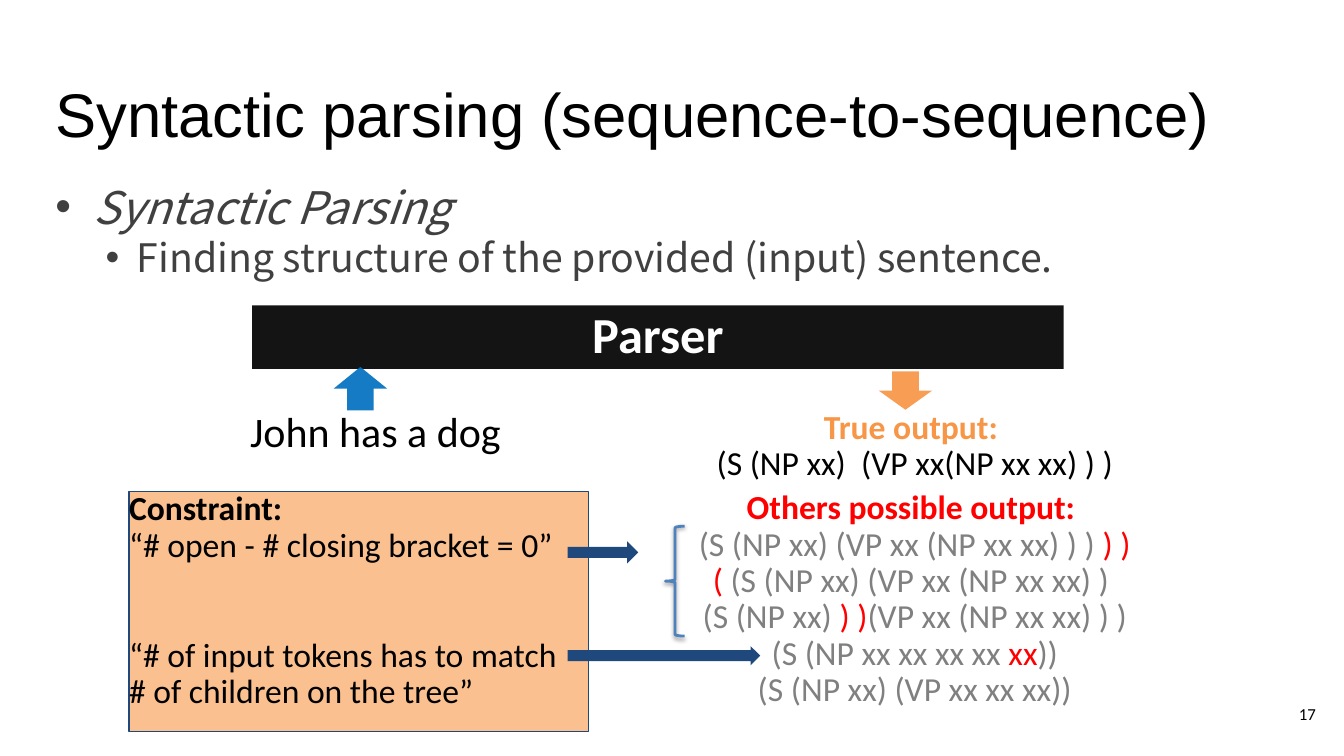
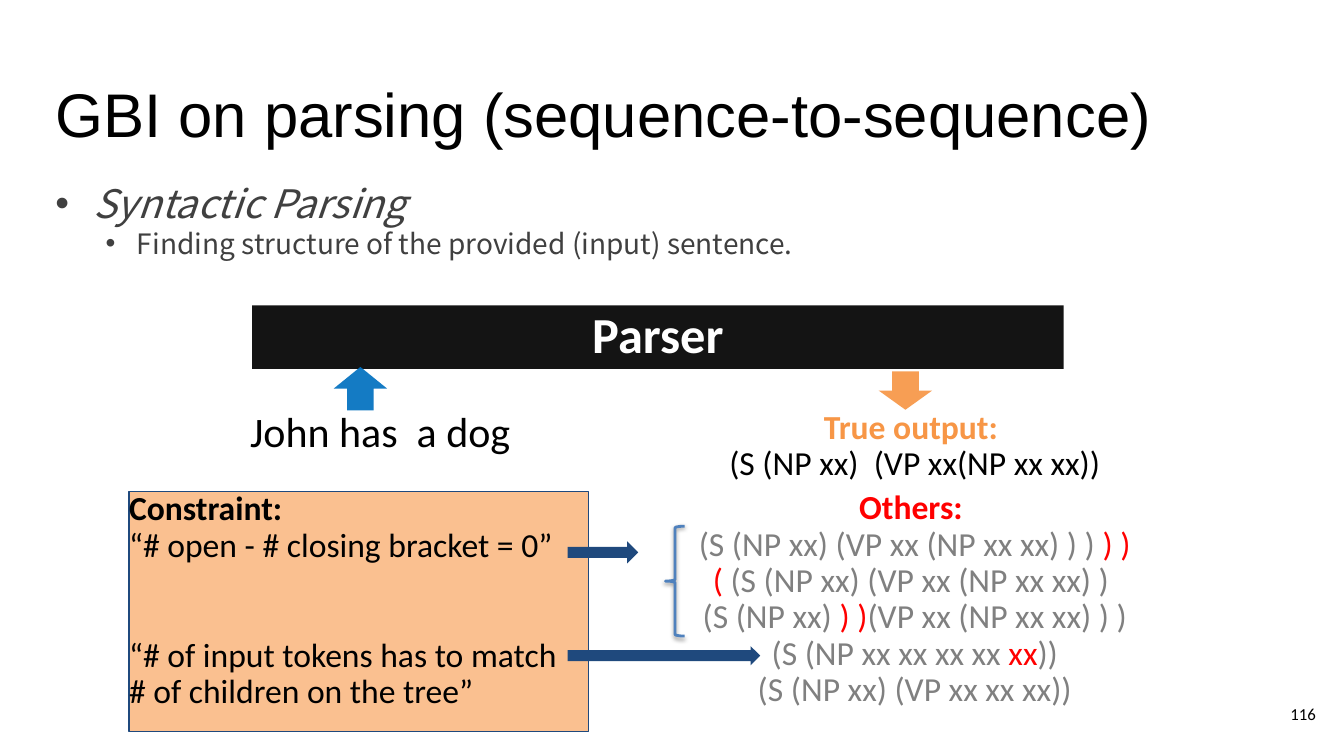
from pptx import Presentation
from pptx.dml.color import RGBColor
from pptx.enum.shapes import MSO_SHAPE
from pptx.enum.text import MSO_ANCHOR, MSO_AUTO_SIZE, PP_ALIGN
from pptx.oxml import parse_xml
from pptx.oxml.ns import nsdecls, qn
from pptx.util import Inches, Pt


class Theme:
    black, white, red = "000000", "FFFFFF", "FF0000"
    dark, gray = "404040", "808080"
    blue, navy, steel = "0070C0", "1F497D", "4F81BD"
    orange, peach = "F79646", "FAC090"
    head, body, label = "Arial", "Noto Sans CJK KR", "Calibri"
    title, bar, input, note, page = 44, 36, 30, 24, 12
    clear = 92  # opacity of the parser bar and its arrows, in percent


def place(slide, box, kind=None, fill=None, line=None, width=0.75,
          alpha=None, inset=(0, 0), anchor=MSO_ANCHOR.TOP):
    """Add a preset shape, or a text box when no kind is given."""
    box = [Inches(n) for n in box]
    if kind is None:
        shape = slide.shapes.add_textbox(*box)
    else:
        shape = slide.shapes.add_shape(kind, *box)
        shape.shadow.inherit = False
        if fill:
            shape.fill.solid()
            shape.fill.fore_color.rgb = RGBColor.from_string(fill)
        else:
            shape.fill.background()
        if alpha:
            color = shape.element.spPr.find(".//" + qn("a:srgbClr"))
            color.append(parse_xml(f'<a:alpha {nsdecls("a")} val="{alpha * 1000}"/>'))
        if line:
            shape.line.color.rgb = RGBColor.from_string(line)
            shape.line.width = Pt(width)
        else:
            shape.line.fill.background()
    frame = shape.text_frame
    frame.word_wrap = True
    frame.vertical_anchor = anchor
    frame.margin_left = frame.margin_right = Inches(inset[0])
    frame.margin_top = frame.margin_bottom = Inches(inset[1])
    return shape


def write(frame, text, size=Theme.note, color=Theme.black, font=Theme.label,
          bold=False, italic=False, align=PP_ALIGN.LEFT, space=0.9, before=0,
          level=0, hang=None):
    """Add a paragraph; text is a string or a list of (string, color) runs."""
    para = frame.add_paragraph() if frame.text else frame.paragraphs[0]
    para.alignment, para.level = align, level
    para.line_spacing, para.space_before = space, Pt(before)
    if hang:
        props = para._p.get_or_add_pPr()
        props.set("marL", str(Inches(hang[0])))
        props.set("indent", str(-Inches(hang[1])))
        props.append(parse_xml(f'<a:buFont {nsdecls("a")} typeface="Arial"/>'))
        props.append(parse_xml(f'<a:buChar {nsdecls("a")} char="•"/>'))
    for words, tint in [(text, color)] if isinstance(text, str) else text:
        for row, part in enumerate(words.split("\n")):
            if row:
                para.add_line_break()
            run = para.add_run()
            run.text = part
            run.font.name, run.font.size = font, Pt(size)
            run.font.bold, run.font.italic = bold, italic
            run.font.color.rgb = RGBColor.from_string(tint)


pages = [
    dict(title="Syntactic parsing (sequence-to-sequence)", sizes=(32, 28),
         input="John has a dog", true=" (S (NP xx)  (VP xx(NP xx xx) ) )",
         others="Others possible output:", number="17"),
    dict(title="GBI on parsing (sequence-to-sequence)", sizes=(28, 20),
         input="John has  a dog", true=" (S (NP xx)  (VP xx(NP xx xx))",
         others="Others:", number="116"),
]
wrong = [
    [(" (S (NP xx) (VP xx (NP xx xx) ) ) ", Theme.gray), (") )", Theme.red)],
    [("( ", Theme.red), ("(S (NP xx) (VP xx (NP xx xx) )", Theme.gray)],
    [(" (S (NP xx)", Theme.gray), (" ) )", Theme.red),
     ("(VP xx (NP xx xx) ) )", Theme.gray)],
    [(" (S (NP xx xx xx xx ", Theme.gray), ("xx", Theme.red), ("))", Theme.gray)],
    [(" (S (NP xx) (VP xx xx xx))", Theme.gray)],
]
flows = [
    ((3.36, 3.59, 0.43, 0.53), 270, Theme.blue),
    ((8.79, 3.61, 0.38, 0.53), 90, Theme.orange),
]
links = [((5.63, 5.37, 0.7, 0.22), 0.5), ((5.63, 6.41, 1.91, 0.19), 0.58)]
middle, center = MSO_ANCHOR.MIDDLE, PP_ALIGN.CENTER

deck = Presentation()
deck.slide_width, deck.slide_height = Inches(13.33), Inches(7.5)

for page in pages:
    slide = deck.slides.add_slide(deck.slide_layouts[5])

    # Title, bullets and page number
    title = slide.shapes.title
    title.left, title.top = Inches(0.45), Inches(0.65)
    title.width, title.height = Inches(12.42), Inches(0.84)
    frame = title.text_frame
    frame.auto_size = MSO_AUTO_SIZE.NONE
    frame.vertical_anchor = MSO_ANCHOR.TOP
    frame.margin_left = frame.margin_right = Inches(0.1)
    frame.margin_top = frame.margin_bottom = Inches(0.1)
    write(frame, page["title"], size=Theme.title, font=Theme.head, space=1.0)

    frame = place(slide, (0.45, 1.68, 12.42, 4.98), inset=(0.1, 0.1)).text_frame
    top, sub = page["sizes"]
    look = dict(color=Theme.dark, font=Theme.body, space=1.0)
    write(frame, "Syntactic Parsing", size=top, italic=True,
          hang=(0.38, 0.38), **look)
    write(frame, "Finding structure of the provided (input) sentence.", size=sub,
          level=1, hang=(0.81, 0.31), **look)

    frame = place(slide, (12.35, 6.8, 0.8, 0.57), inset=(0.1, 0.1),
                  anchor=middle).text_frame
    write(frame, page["number"], size=Theme.page, align=PP_ALIGN.RIGHT, space=1.0)

    # Parser with its input and true output
    bar = place(slide, (2.5, 3.03, 8.05, 0.63), MSO_SHAPE.RECTANGLE, Theme.black,
                alpha=Theme.clear, inset=(0.08, 0.04), anchor=middle)
    write(bar.text_frame, "Parser", size=Theme.bar, color=Theme.white, bold=True,
          align=center)
    for box, turn, color in flows:
        arrow = place(slide, box, MSO_SHAPE.RIGHT_ARROW, color, alpha=Theme.clear)
        arrow.rotation = turn

    frame = place(slide, (2.48, 4.08, 2.69, 0.66)).text_frame
    write(frame, page["input"], size=Theme.input)

    frame = place(slide, (6.41, 4.02, 5.25, 0.82), anchor=middle).text_frame
    write(frame, "True output:", color=Theme.orange, bold=True, align=center)
    write(frame, page["true"], align=center)

    # Constraints, linked to the outputs that break them
    frame = place(slide, (1.28, 4.88, 4.56, 2.38), MSO_SHAPE.RECTANGLE,
                  Theme.peach, Theme.navy).text_frame
    write(frame, "Constraint:", bold=True)
    write(frame, "“# open - # closing bracket = 0”")
    write(frame, "“# of input tokens has to match\n# of children on the tree”",
          before=53)

    brace = place(slide, (6.6, 5.22, 0.19, 1.09), MSO_SHAPE.LEFT_BRACE,
                  line=Theme.steel, width=2)
    brace.element.spPr.find(qn("a:effectLst")).append(parse_xml(
        f'<a:outerShdw {nsdecls("a")} blurRad="{Pt(3.1)}" dist="{Pt(1.6)}" '
        f'dir="5400000" rotWithShape="0"><a:srgbClr val="{Theme.black}">'
        '<a:alpha val="38000"/></a:srgbClr></a:outerShdw>'))
    for box, shaft in links:
        arrow = place(slide, box, MSO_SHAPE.RIGHT_ARROW, Theme.navy)
        arrow.adjustments[0] = shaft

    frame = place(slide, (6.41, 4.87, 5.25, 2.07)).text_frame
    write(frame, page["others"], color=Theme.red, bold=True, align=center)
    for runs in wrong:
        write(frame, runs, align=center)

deck.save("out.pptx")
